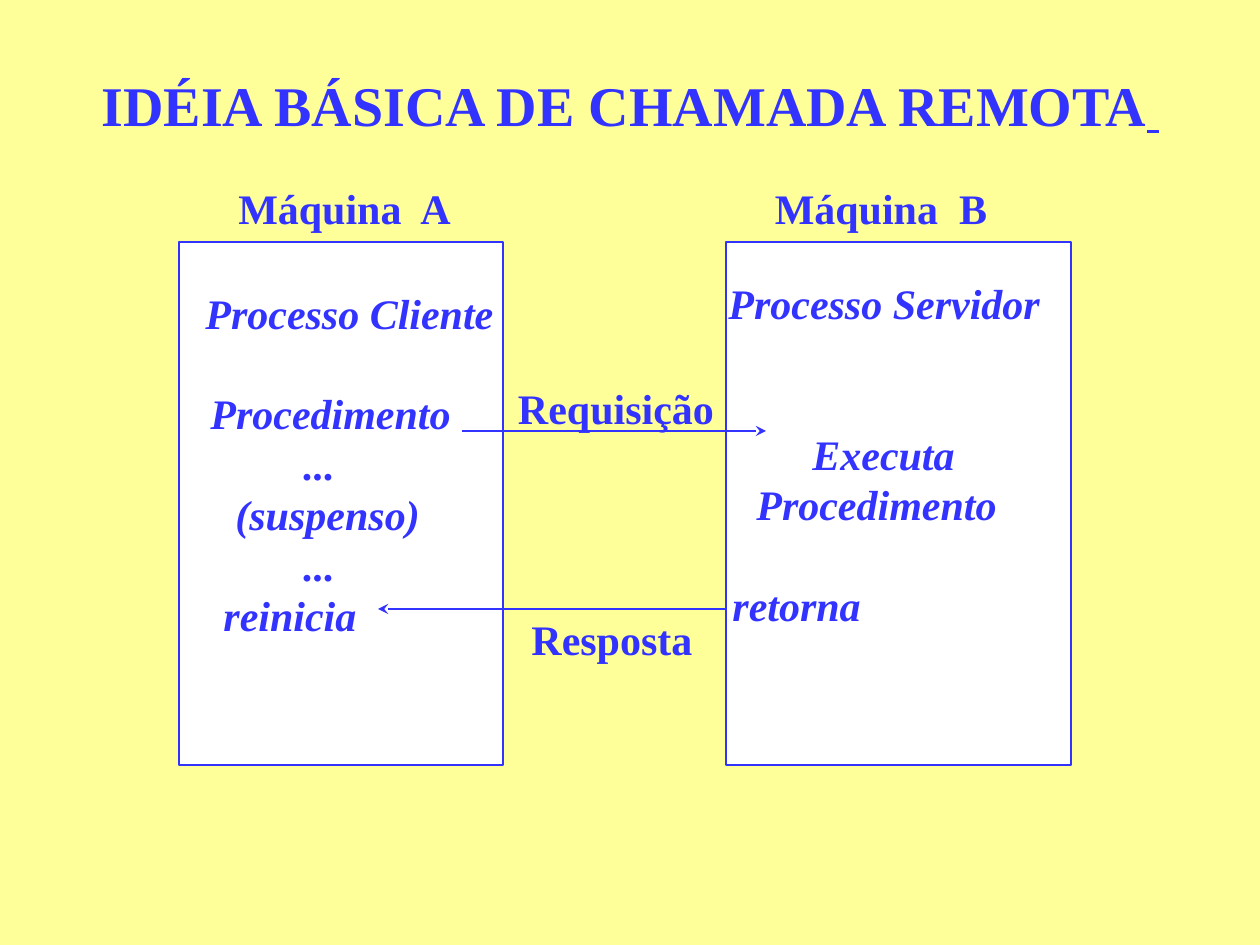
import pptx
import pptx.util
import pptx.dml.color
import pptx.enum.shapes
import pptx.enum.text
import pptx.oxml.ns
import lxml.etree

BLUE = pptx.dml.color.RGBColor(0x33, 0x33, 0xFF)
WHITE = pptx.dml.color.RGBColor(0xFF, 0xFF, 0xFF)
CREAM = pptx.dml.color.RGBColor(0xFF, 0xFF, 0x99)
FACE = "Times New Roman"
SCALE = 914400 / 126
PITCH = 28.8
ALIGN = pptx.enum.text.PP_ALIGN
ANCHOR = pptx.enum.text.MSO_ANCHOR


def px(*vals):
    return [pptx.util.Emu(round(val * SCALE)) for val in vals]


def style(item, **vals):
    for name, val in vals.items():
        setattr(item, name, val)


def font(run, size, **vals):
    style(run.font, name=FACE, size=pptx.util.Pt(size), **vals)
    run.font.color.rgb = BLUE


def title(slide, text):
    shape = slide.shapes.title
    spot = dict(zip(("left", "top", "width", "height"), px(32, 10, 1197, 158)))
    style(shape, **spot)
    frame = shape.text_frame
    style(frame, word_wrap=True, vertical_anchor=ANCHOR.MIDDLE,
          margin_top=px(36)[0], margin_bottom=px(6)[0])
    para = frame.paragraphs[0]
    para.alignment = ALIGN.CENTER
    for part, size, line in ((text, 32, False), (" ", 28, True)):
        run = para.add_run()
        run.text = part
        font(run, size, bold=True, underline=line)


def panel(slide, *spot):
    kind = pptx.enum.shapes.MSO_SHAPE.RECTANGLE
    shape = slide.shapes.add_shape(kind, *px(*spot))
    shape.shadow.inherit = False
    shape.fill.solid()
    shape.fill.fore_color.rgb = WHITE
    shape.line.color.rgb = BLUE
    shape.line.width = pptx.util.Pt(1)


def write(slide, spot, rows, align, wrap, slant):
    frame = slide.shapes.add_textbox(*px(*spot)).text_frame
    style(frame, word_wrap=wrap, vertical_anchor=ANCHOR.TOP)
    for num, (text, dent, gap) in enumerate(rows):
        para = frame.add_paragraph() if num else frame.paragraphs[0]
        style(para, alignment=align, line_spacing=pptx.util.Pt(PITCH),
              space_before=pptx.util.Pt(gap * PITCH))
        if dent:
            para._p.get_or_add_pPr().set("marL", str(px(dent)[0]))
        run = para.add_run()
        run.text = text
        font(run, 24, bold=True, italic=slant)


def label(slide, text, *spot):
    write(slide, spot, [(text, 0, 0)], ALIGN.CENTER, False, False)


def steps(slide, rows, *spot):
    write(slide, spot, rows, ALIGN.LEFT, True, True)


def arrow(slide, start, end, y):
    kind = pptx.enum.shapes.MSO_CONNECTOR.STRAIGHT
    link = slide.shapes.add_connector(kind, *px(start, y, end, y))
    link.line.color.rgb = BLUE
    link.line.width = pptx.util.Pt(1)
    qn = pptx.oxml.ns.qn
    tip = lxml.etree.SubElement(link.line._get_or_add_ln(), qn("a:tailEnd"))
    tip.set("type", "stealth")
    lxml.etree.SubElement(link._element.spPr, qn("a:effectLst"))


def main():
    deck = pptx.Presentation()
    deck.slide_width, deck.slide_height = px(1260, 945)
    slide = deck.slides.add_slide(deck.slide_layouts[5])
    slide.background.fill.solid()
    slide.background.fill.fore_color.rgb = CREAM

    title(slide, "IDÉIA BÁSICA DE CHAMADA REMOTA")
    panel(slide, 179, 242, 324, 523)
    panel(slide, 726, 242, 345, 523)
    steps(slide, [
        ("Processo Cliente", 0, 0),
        ("Procedimento", 5, 1),
        ("...", 98, 0),
        ("(suspenso)", 30, 0),
        ("...", 98, 0),
        ("reinicia", 18, 0),
    ], 193, 281, 324, 365)
    steps(slide, [
        ("Processo Servidor", 0, 0),
        ("Executa", 84, 2),
        ("Procedimento", 28, 0),
        ("retorna", 4, 1),
    ], 716, 271, 345, 365)
    arrow(slide, 462, 766, 431)
    arrow(slide, 725, 378, 609)
    label(slide, "Máquina  A", 224, 176, 241, 63)
    label(slide, "Máquina  B", 762, 176, 238, 63)
    label(slide, "Requisição", 505, 376, 222, 63)
    label(slide, "Resposta", 519, 607, 186, 63)
    deck.save("out.pptx")


if __name__ == "__main__":
    main()
